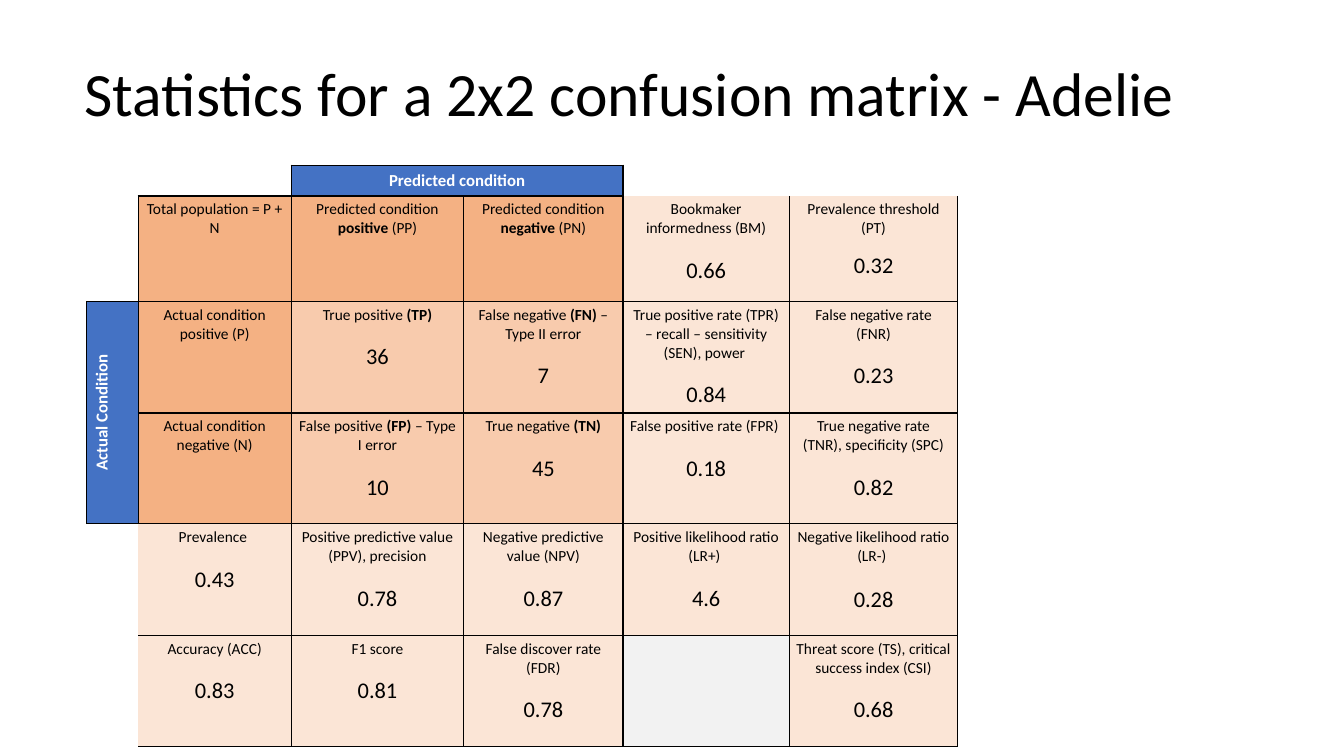
import pptx
import pptx.util
import pptx.dml.color
import pptx.enum.text
import pptx.oxml.ns
from lxml import etree

Inches = pptx.util.Inches
Pt = pptx.util.Pt
RGBColor = pptx.dml.color.RGBColor
qn = pptx.oxml.ns.qn

BLACK = RGBColor(0x00, 0x00, 0x00)
WHITE = RGBColor(0xFF, 0xFF, 0xFF)
BLUE = RGBColor(0x44, 0x72, 0xC4)
ORANGE = RGBColor(0xF4, 0xB1, 0x83)
PEACH = RGBColor(0xF8, 0xCB, 0xAD)
CREAM = RGBColor(0xFB, 0xE5, 0xD6)
GREY = RGBColor(0xF2, 0xF2, 0xF2)
FONT = "Calibri"

COL_WIDTHS = [0.51, 1.52, 1.71, 1.58, 1.65, 1.67]
ROW_HEIGHTS = [0.3, 1.05, 1.1, 1.1, 1.11, 1.1]
CELLS = [
    ["", "", "Predicted condition", "", "", ""],
    ["", "Total population = P + N", "Predicted condition *positive* (PP)",
     "Predicted condition *negative* (PN)", "Bookmaker informedness (BM)|0.66",
     "Prevalence threshold (PT)|0.32"],
    ["Actual Condition", "Actual condition positive (P)", "True positive *(TP)*|36",
     "False negative *(FN)* – Type II error|7",
     "True positive rate (TPR) – recall – sensitivity (SEN), power |0.84",
     "False negative rate (FNR)|0.23"],
    ["", "Actual condition negative (N)", "False positive *(FP) *– Type I error|10",
     "True negative *(TN)*|45", "False positive rate (FPR) |0.18",
     "True negative rate (TNR), specificity (SPC)|0.82"],
    ["", "Prevalence |0.43", "Positive predictive value (PPV), precision|0.78",
     "Negative predictive value (NPV)|0.87", "Positive likelihood ratio (LR+) |4.6",
     "Negative likelihood ratio (LR-) |0.28"],
    ["", "Accuracy (ACC)|0.83", "F1 score|0.81", "False discover rate (FDR)|0.78", "",
     "Threat score (TS), critical success index (CSI)|0.68"],
]
BORDERS = {(0, 0): "B", (1, 0): "B", (0, 1): "RB", (0, 4): "L", (0, 5): "",
           (1, 4): "LRB", (1, 5): "LRB", (4, 0): "T", (4, 1): "TRB",
           (5, 0): "", (5, 1): "TRB"}
HEADERS = [(0, 2), (0, 3), (2, 0), (3, 0)]
VALUE_GAPS = {(1, 5): 9.8, (4, 5): 14.6}


def set_borders(cell, sides):
    tcPr = cell._tc.get_or_add_tcPr()
    for side in "LRTB":
        ln = etree.SubElement(tcPr, qn("a:ln" + side), w=str(Pt(1)))
        if side in sides:
            fill = etree.SubElement(ln, qn("a:solidFill"))
            etree.SubElement(fill, qn("a:srgbClr"), val=str(BLACK))
        else:
            etree.SubElement(ln, qn("a:noFill"))


def cell_color(row, col):
    if (row, col) in HEADERS:
        return BLUE
    if row == 0 or col == 0:
        return None
    if (row, col) == (5, 4):
        return GREY
    if row > 3 or col > 3:
        return CREAM
    return ORANGE if row == 1 or col == 1 else PEACH


prs = pptx.Presentation()
prs.slide_width = Inches(13.33)
prs.slide_height = Inches(7.5)
s = prs.slides.add_slide(prs.slide_layouts[5])

title = s.shapes.title
title.left, title.top = Inches(0.74), Inches(0.23)
title.width, title.height = Inches(11.5), Inches(1.45)
tf = title.text_frame
tf.text = "Statistics for a 2x2 confusion matrix - Adelie"
tf.vertical_anchor = pptx.enum.text.MSO_ANCHOR.MIDDLE
p = tf.paragraphs[0]
p.alignment = pptx.enum.text.PP_ALIGN.LEFT
p.line_spacing = 0.9
font = p.runs[0].font
font.name, font.size, font.color.rgb = FONT, Pt(44), BLACK

table = s.shapes.add_table(
    len(ROW_HEIGHTS), len(COL_WIDTHS), Inches(0.86), Inches(1.64),
    Inches(sum(COL_WIDTHS)), Inches(sum(ROW_HEIGHTS))).table
table.first_row = False
table.horz_banding = False
for column, width in zip(table.columns, COL_WIDTHS):
    column.width = Inches(width)
for table_row, height in zip(table.rows, ROW_HEIGHTS):
    table_row.height = Inches(height)

for row, texts in enumerate(CELLS):
    for col, text in enumerate(texts):
        cell = table.cell(row, col)
        header = (row, col) in HEADERS
        set_borders(cell, BORDERS.get((row, col), "LRTB"))
        color = cell_color(row, col)
        if color is None:
            cell.fill.background()
        else:
            cell.fill.solid()
            cell.fill.fore_color.rgb = color
        cell.margin_left = cell.margin_right = Inches(0.09 if header else 0.07)
        cell.margin_top = cell.margin_bottom = Inches(0.05 if header else 0.04)
        tf = cell.text_frame
        p = tf.paragraphs[0]
        if not text:
            p._p.get_or_add_endParaRPr().set("sz", "800")
            continue
        label, _, value = text.partition("|")
        for i, part in enumerate(label.split("*")):
            if part:
                r = p.add_run()
                r.text = part
                r.font.size = Pt(12 if header else 11)
                r.font.bold = header or i % 2 == 1
        if value:
            p = tf.add_paragraph()
            p.text = value
            p.space_before = Pt(VALUE_GAPS.get((row, col), 13.4))
            p.runs[0].font.size = Pt(16)
        for p in tf.paragraphs:
            p.alignment = pptx.enum.text.PP_ALIGN.CENTER
            for r in p.runs:
                r.font.name = FONT
                r.font.color.rgb = WHITE if header else BLACK

table.cell(0, 0).merge(table.cell(1, 0))
table.cell(0, 2).merge(table.cell(0, 3))
table.cell(2, 0).merge(table.cell(3, 0))
table.cell(2, 0)._tc.get_or_add_tcPr().set("vert", "vert270")

prs.save("out.pptx")
